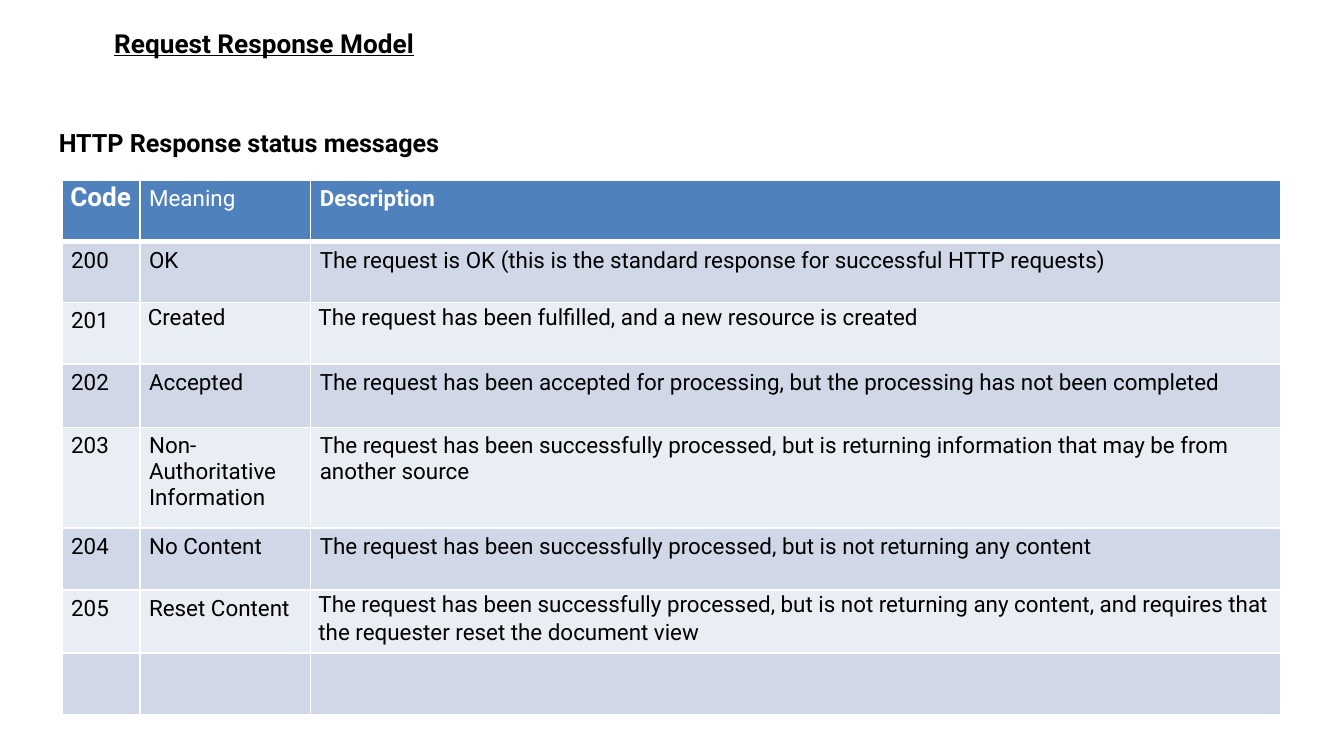
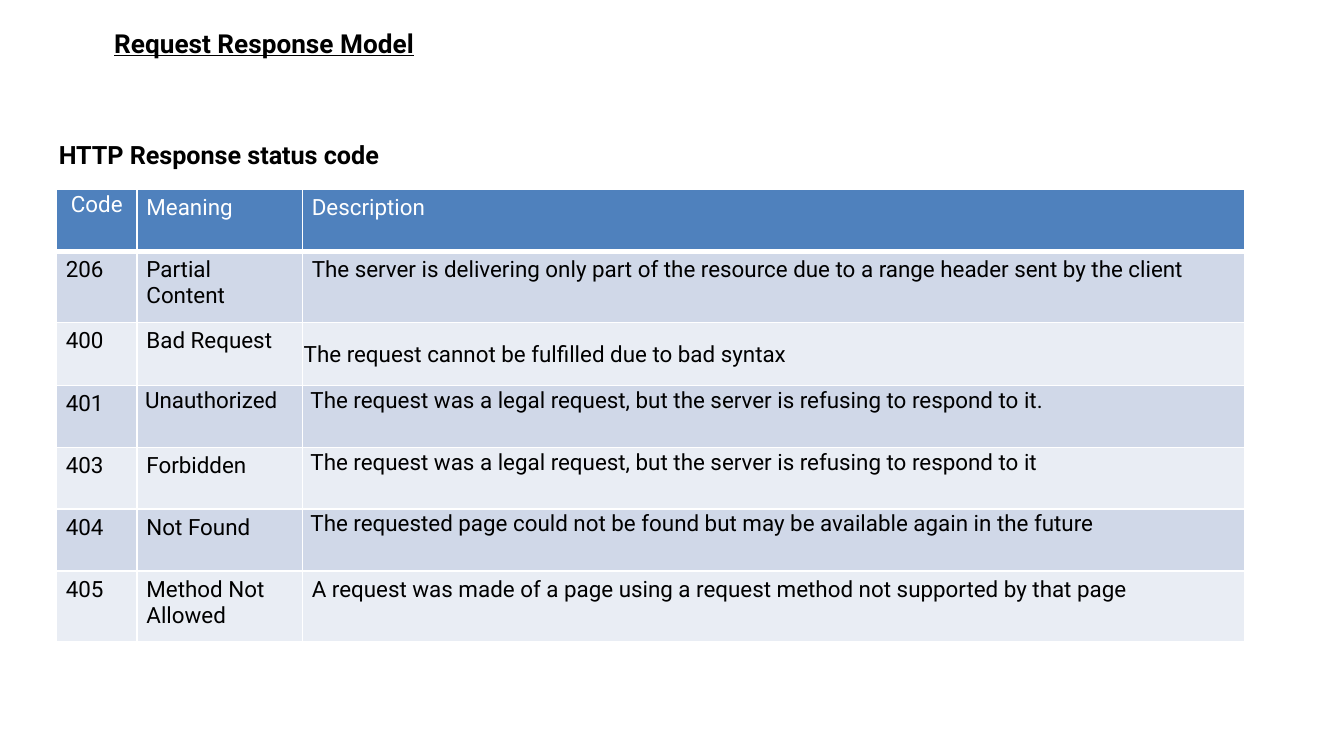
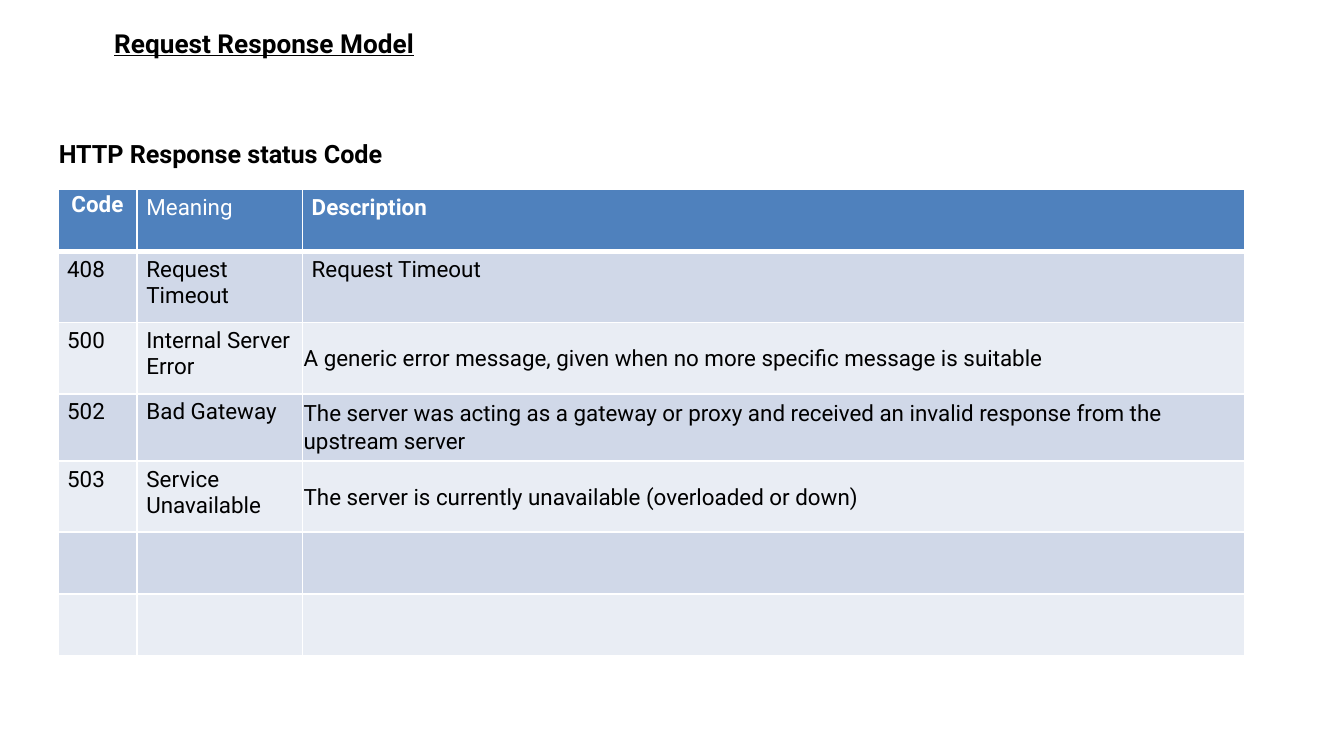
"""Build three slides that tabulate HTTP response status codes."""
import dataclasses
import enum

import lxml.etree
import pptx
import pptx.dml.color
import pptx.enum.text
import pptx.oxml.ns
import pptx.slide
import pptx.table
import pptx.text.text
import pptx.util

Inches = pptx.util.Inches
Pt = pptx.util.Pt
RGBColor = pptx.dml.color.RGBColor
Align = pptx.enum.text.PP_ALIGN
Anchor = pptx.enum.text.MSO_ANCHOR


@dataclasses.dataclass(frozen=True)
class Theme:
    font: str = "Roboto"
    ink: RGBColor = RGBColor(0, 0, 0)
    paper: RGBColor = RGBColor(255, 255, 255)
    header: RGBColor = RGBColor(0x4F, 0x81, 0xBD)
    bands: tuple[RGBColor, RGBColor] = (
        RGBColor(0xD0, 0xD8, 0xE8), RGBColor(0xE9, 0xED, 0xF4))
    title_size: Pt = Pt(14)
    subtitle_size: Pt = Pt(13.5)
    body_size: Pt = Pt(12)
    thin_rule: Pt = Pt(1)
    thick_rule: Pt = Pt(3)


THEME = Theme()


class Padding(enum.Enum):
    NORMAL = (0.07, 0.04)
    TIGHT = (0.06, 0)
    FLUSH = (0.01, 0.01)


@dataclasses.dataclass(frozen=True)
class Cell:
    text: str
    padding: Padding = Padding.NORMAL
    bold: bool = False
    size: Pt = THEME.body_size
    alignment: Align = Align.LEFT


@dataclasses.dataclass(frozen=True)
class Row:
    height: float
    code: Cell
    meaning: Cell
    description: Cell


@dataclasses.dataclass(frozen=True)
class StatusSlide:
    subtitle: str
    subtitle_top: float
    subtitle_height: float
    table_left: float
    table_top: float
    column_widths: tuple[float, float, float]
    rows: tuple[Row, ...]


def header_row(bold: bool, code_size: Pt = THEME.body_size) -> Row:
    return Row(0.46, Cell("Code", Padding.TIGHT, bold, code_size, Align.CENTER),
               Cell("Meaning"), Cell("Description", bold=bold))


def status_row(height: float, code: str = "", meaning: str = "", description: str = "",
               description_padding: Padding = Padding.NORMAL,
               meaning_padding: Padding = Padding.NORMAL) -> Row:
    return Row(height, Cell(code), Cell(meaning, meaning_padding),
               Cell(description, description_padding))


STATUS_SLIDES = (
    StatusSlide("HTTP Response status messages", 0.9, 0.33, 0.46, 1.34, (0.58, 1.27, 7.22), (
        header_row(True, THEME.title_size),
        status_row(0.45, "200", "OK",
                   "The request is OK (this is the standard response for successful HTTP requests)"),
        status_row(0.46, "201", "Created",
                   "The request has been fulfilled, and a new resource is created",
                   Padding.TIGHT, Padding.TIGHT),
        status_row(0.47, "202", "Accepted",
                   "The request has been accepted for processing, "
                   "but the processing has not been completed"),
        status_row(0.75, "203", "Non-Authoritative Information",
                   "The request has been successfully processed, "
                   "but is returning information that may be from another source"),
        status_row(0.46, "204", "No Content",
                   "The request has been successfully processed, but is not returning any content"),
        status_row(0.47, "205", "Reset Content",
                   "The request has been successfully processed, but is not returning any content, "
                   "and requires that the requester reset the document view", Padding.TIGHT),
        status_row(0.46),
    )),
    StatusSlide("HTTP Response status code", 0.99, 0.57, 0.42, 1.41, (0.6, 1.23, 7.01), (
        header_row(False),
        status_row(0.53, "206", "Partial Content",
                   "The server is delivering only part of the resource "
                   "due to a range header sent by the client"),
        status_row(0.47, "400", "Bad Request",
                   "The request cannot be fulfilled due to bad syntax", Padding.FLUSH),
        status_row(0.46, "401", "Unauthorized",
                   "The request was a legal request, but the server is refusing to respond to it.",
                   Padding.TIGHT, Padding.TIGHT),
        status_row(0.46, "403", "Forbidden",
                   "The request was a legal request, but the server is refusing to respond to it",
                   Padding.TIGHT),
        status_row(0.46, "404", "Not Found",
                   "The requested page could not be found but may be available again in the future",
                   Padding.TIGHT),
        status_row(0.53, "405", "Method Not Allowed",
                   "A request was made of a page using a request method not supported by that page"),
    )),
    StatusSlide("HTTP Response status Code", 0.98, 0.33, 0.43, 1.41, (0.59, 1.23, 7.01), (
        header_row(True),
        status_row(0.53, "408", "Request Timeout", "Request Timeout"),
        status_row(0.53, "500", "Internal Server Error",
                   "A generic error message, given when no more specific message is suitable",
                   Padding.FLUSH),
        status_row(0.5, "502", "Bad Gateway",
                   "The server was acting as a gateway or proxy and received "
                   "an invalid response from the upstream server", Padding.FLUSH),
        status_row(0.53, "503", "Service Unavailable",
                   "The server is currently unavailable (overloaded or down)", Padding.FLUSH),
        status_row(0.46),
        status_row(0.46),
    )),
)


def format_runs(paragraph: pptx.text.text._Paragraph, size: Pt, color: RGBColor,
                bold: bool, underline: bool = False) -> None:
    for run in paragraph.runs:
        run.font.name = THEME.font
        run.font.size = size
        run.font.color.rgb = color
        run.font.bold = bold
        if underline:
            run.font.underline = True


def draw_title(slide: pptx.slide.Slide) -> None:
    title = slide.shapes.title
    title.left, title.top = Inches(0.75), Inches(0.15)
    title.width, title.height = Inches(2.45), Inches(0.34)
    text_frame = title.text_frame
    text_frame.text = "Request Response Model"
    text_frame.word_wrap = False
    text_frame.auto_size = pptx.enum.text.MSO_AUTO_SIZE.SHAPE_TO_FIT_TEXT
    text_frame.vertical_anchor = Anchor.TOP
    paragraph = text_frame.paragraphs[0]
    paragraph.alignment = Align.LEFT
    format_runs(paragraph, THEME.title_size, THEME.ink, True, True)


def draw_subtitle(slide: pptx.slide.Slide, content: StatusSlide) -> None:
    text_box = slide.shapes.add_textbox(
        Inches(0.34), Inches(content.subtitle_top),
        Inches(8.87), Inches(content.subtitle_height))
    text_box.text_frame.word_wrap = True
    text_box.text_frame.text = content.subtitle
    format_runs(text_box.text_frame.paragraphs[0], THEME.subtitle_size, THEME.ink, True)


def draw_borders(table_cell: pptx.table._Cell, row_index: int) -> None:
    properties = table_cell._tc.get_or_add_tcPr()
    thick_side = {0: "lnB", 1: "lnT"}.get(row_index)
    for side in ("lnL", "lnR", "lnT", "lnB"):
        width = THEME.thick_rule if side == thick_side else THEME.thin_rule
        line = lxml.etree.SubElement(properties, pptx.oxml.ns.qn(f"a:{side}"), w=str(int(width)))
        fill = lxml.etree.SubElement(line, pptx.oxml.ns.qn("a:solidFill"))
        lxml.etree.SubElement(fill, pptx.oxml.ns.qn("a:srgbClr"), val=str(THEME.paper))


def fill_cell(table_cell: pptx.table._Cell, cell: Cell, row_index: int) -> None:
    draw_borders(table_cell, row_index)
    is_header = row_index == 0
    table_cell.fill.solid()
    table_cell.fill.fore_color.rgb = (
        THEME.header if is_header else THEME.bands[(row_index - 1) % 2])
    horizontal, vertical = cell.padding.value
    table_cell.margin_left = table_cell.margin_right = Inches(horizontal)
    table_cell.margin_top = table_cell.margin_bottom = Inches(vertical)
    table_cell.vertical_anchor = (
        Anchor.MIDDLE if cell.padding is Padding.FLUSH else Anchor.TOP)
    table_cell.text_frame.text = cell.text
    paragraph = table_cell.text_frame.paragraphs[0]
    paragraph.alignment = cell.alignment
    if cell.padding is not Padding.NORMAL:
        paragraph.line_spacing = 1.07
    format_runs(paragraph, cell.size, THEME.paper if is_header else THEME.ink, cell.bold)


def draw_table(slide: pptx.slide.Slide, content: StatusSlide) -> None:
    table = slide.shapes.add_table(
        len(content.rows), len(content.column_widths),
        Inches(content.table_left), Inches(content.table_top),
        Inches(sum(content.column_widths)),
        Inches(sum(row.height for row in content.rows))).table
    for column, width in zip(table.columns, content.column_widths):
        column.width = Inches(width)
    for row_index, row in enumerate(content.rows):
        table.rows[row_index].height = Inches(row.height)
        for column_index, cell in enumerate((row.code, row.meaning, row.description)):
            fill_cell(table.cell(row_index, column_index), cell, row_index)


def main() -> None:
    presentation = pptx.Presentation()
    presentation.slide_width = Inches(10)
    presentation.slide_height = Inches(10 * 9 / 16)
    title_only = presentation.slide_layouts.get_by_name("Title Only")
    for content in STATUS_SLIDES:
        slide = presentation.slides.add_slide(title_only)
        draw_title(slide)
        draw_subtitle(slide, content)
        draw_table(slide, content)
    presentation.save("out.pptx")


if __name__ == "__main__":
    main()
